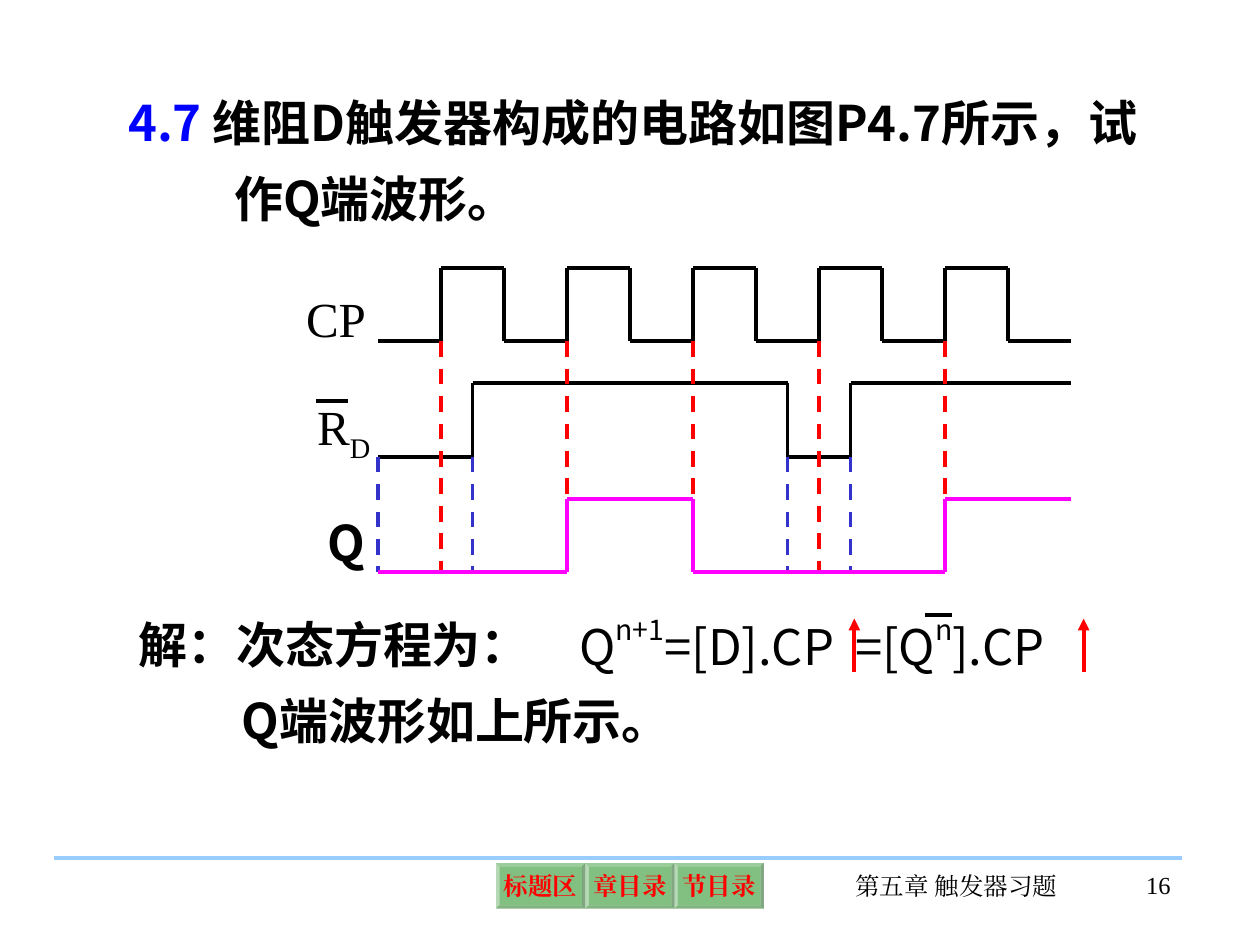
from dataclasses import dataclass
from itertools import pairwise

from lxml.etree import SubElement
from pptx import Presentation
from pptx.dml.color import RGBColor
from pptx.enum.dml import MSO_LINE
from pptx.enum.shapes import MSO_CONNECTOR, MSO_SHAPE
from pptx.enum.text import MSO_ANCHOR, PP_ALIGN
from pptx.oxml.ns import qn
from pptx.util import Pt


@dataclass(frozen=True)
class Theme:
    ink: str = "000000"
    number: str = "0000FF"
    clock_edge: str = "FF0000"
    reset_edge: str = "3333CC"
    output: str = "FF00FF"
    rule: str = "99CCFF"
    button: str = "008000"
    button_text: str = "FF0000"
    serif: str = "Times New Roman"
    sans: str = "Noto Sans CJK SC"
    body_size: float = 28
    small_size: float = 14
    line_width: float = 2.25


class SlideBuilder:
    def __init__(self, slide, theme):
        self.slide = slide
        self.theme = theme

    def style(self, paragraph, font_name, size, color, bold):
        font = paragraph.font
        font.size = Pt(size)
        font.bold = bold
        font.color.rgb = RGBColor.from_string(color)
        font.name = font_name
        SubElement(font._element, qn("a:ea"), typeface=font_name)

    def text(self, left, top, width, height, runs, font_name=None, size=None,
             bold=False, align=PP_ALIGN.LEFT, spacing=None, hanging=0, tab=None):
        box = self.slide.shapes.add_textbox(Pt(left), Pt(top), Pt(width), Pt(height))
        box.text_frame.word_wrap = True
        paragraph = box.text_frame.paragraphs[0]
        paragraph.alignment = align
        if spacing:
            paragraph.line_spacing = spacing
        properties = paragraph._p.get_or_add_pPr()
        if hanging:
            properties.set("marL", str(Pt(hanging)))
            properties.set("indent", str(-Pt(hanging)))
        if tab:
            stops = SubElement(properties, qn("a:tabLst"))
            SubElement(stops, qn("a:tab"), pos=str(Pt(tab)), algn="l")
        self.style(paragraph, font_name or self.theme.sans,
                   size or self.theme.body_size, self.theme.ink, bold)
        for content, color, baseline in runs:
            run = paragraph.add_run()
            run.text = content
            if color:
                run.font.color.rgb = RGBColor.from_string(color)
            if baseline:
                run.font._element.set("baseline", str(baseline * 1000))

    def line(self, start, end, color, dashed=False, arrow=False):
        connector = self.slide.shapes.add_connector(
            MSO_CONNECTOR.STRAIGHT, *(Pt(value) for value in (*start, *end)))
        connector.line.color.rgb = RGBColor.from_string(color)
        connector.line.width = Pt(self.theme.line_width)
        if dashed:
            connector.line.dash_style = MSO_LINE.DASH
        if arrow:
            SubElement(connector.line._get_or_add_ln(), qn("a:tailEnd"), type="triangle")
        SubElement(connector._element.spPr, qn("a:effectLst"))

    def wave(self, edges, end, low, high, color):
        points = [(edges[0], low)]
        level = low
        for x in edges[1:]:
            points.append((x, level))
            level = high if level == low else low
            points.append((x, level))
        points.append((end, level))
        for start, stop in pairwise(points):
            self.line(start, stop, color)

    def button(self, left, top, width, height, label):
        shape = self.slide.shapes.add_shape(
            MSO_SHAPE.BEVEL, Pt(left), Pt(top), Pt(width), Pt(height))
        shape.adjustments[0] = 0.07
        shape.shadow.inherit = False
        shape.fill.solid()
        shape.fill.fore_color.rgb = RGBColor.from_string(self.theme.button)
        fill_color = shape._element.spPr.find(f"{qn('a:solidFill')}/{qn('a:srgbClr')}")
        SubElement(fill_color, qn("a:alpha"), val="49000")
        shape.line.fill.background()
        frame = shape.text_frame
        frame.word_wrap = False
        frame.vertical_anchor = MSO_ANCHOR.MIDDLE
        frame.margin_left = frame.margin_right = Pt(3)
        frame.margin_top = frame.margin_bottom = Pt(3)
        paragraph = frame.paragraphs[0]
        paragraph.alignment = PP_ALIGN.CENTER
        paragraph.add_run().text = label
        self.style(paragraph, self.theme.serif, self.theme.small_size,
                   self.theme.button_text, True)


def plain(content):
    return [(content, None, 0)]


def main():
    presentation = Presentation()
    presentation.slide_width, presentation.slide_height = Pt(720), Pt(540)
    slide = presentation.slides.add_slide(presentation.slide_layouts[6])
    theme = Theme()
    builder = SlideBuilder(slide, theme)

    builder.line((31, 490.5), (675.5, 490.5), theme.rule)
    builder.text(479.5, 494, 134, 36, plain("第五章 触发器习题"), theme.serif,
                 theme.small_size, align=PP_ALIGN.CENTER)
    builder.text(614, 493.5, 62, 36, plain("16"), theme.serif,
                 theme.small_size, align=PP_ALIGN.RIGHT)
    for index, label in enumerate(("标题区", "章目录", "节目录")):
        builder.button(283.5 + 51 * index, 493.2, 51, 26, label)

    builder.text(66.2, 39, 594, 95, [
        ("4.7 ", theme.number, 0),
        ("维阻D触发器构成的电路如图P4.7所示，试作Q端波形。", None, 0),
    ], bold=True, spacing=1.3, hanging=60.5)

    unit = 36
    start, end = 216, 612
    swing = 42
    clock_low, reset_low, output_low = 195, 261, 327
    clock_edges = [start + unit * step for step in range(1, 11)]
    reset_edges = [270, 450, 486]
    output_edges = [324, 396, 540]

    builder.text(167.8, 151.2, 54, 51, plain("CP"), theme.serif, spacing=1.3)
    builder.wave([start, *clock_edges], end, clock_low, clock_low - swing, theme.ink)
    builder.text(174.2, 223.2, 49, 45, [("R", None, 0), ("D", None, -25)], theme.serif)
    builder.line((180.7, 229), (198.7, 229), theme.ink)
    builder.wave([start, *reset_edges], end, reset_low, reset_low - swing, theme.ink)
    for x in clock_edges[::2]:
        builder.line((x, clock_low), (x, output_low), theme.clock_edge, dashed=True)
    for x in [start, *reset_edges]:
        builder.line((x, reset_low), (x, output_low), theme.reset_edge, dashed=True)
    builder.text(180, 279.4, 36, 51, plain("Q"), bold=True, spacing=1.3)
    builder.wave([start, *output_edges], end, output_low, output_low - swing, theme.output)

    builder.text(72, 347.8, 240, 41, plain("解：次态方程为："), bold=True)
    builder.text(324, 346.3, 347, 43, [
        ("Q", None, 0), ("n+1", None, 50), ("=[D].CP\t=[Q", None, 0),
        ("n", None, 50), ("].CP", None, 0),
    ], tab=157.5)
    builder.line((528.5, 351.4), (544.3, 351.4), theme.ink)
    for x in (488.2, 619.2):
        builder.line((x, 383.8), (x, 353.5), theme.clock_edge, arrow=True)
    builder.text(131, 391, 259, 41, plain("Q端波形如上所示。"), bold=True)

    presentation.save("out.pptx")


if __name__ == "__main__":
    main()
